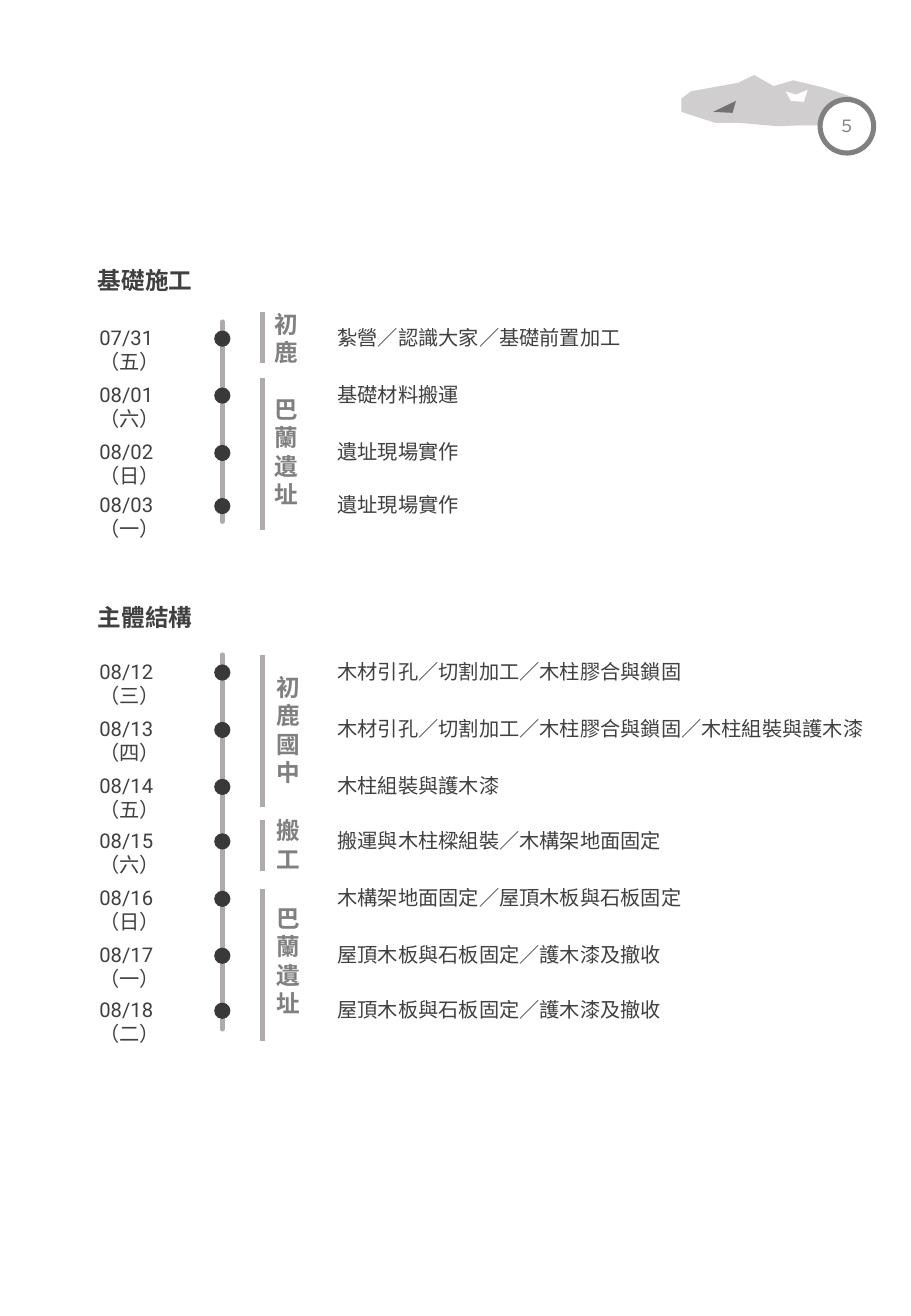
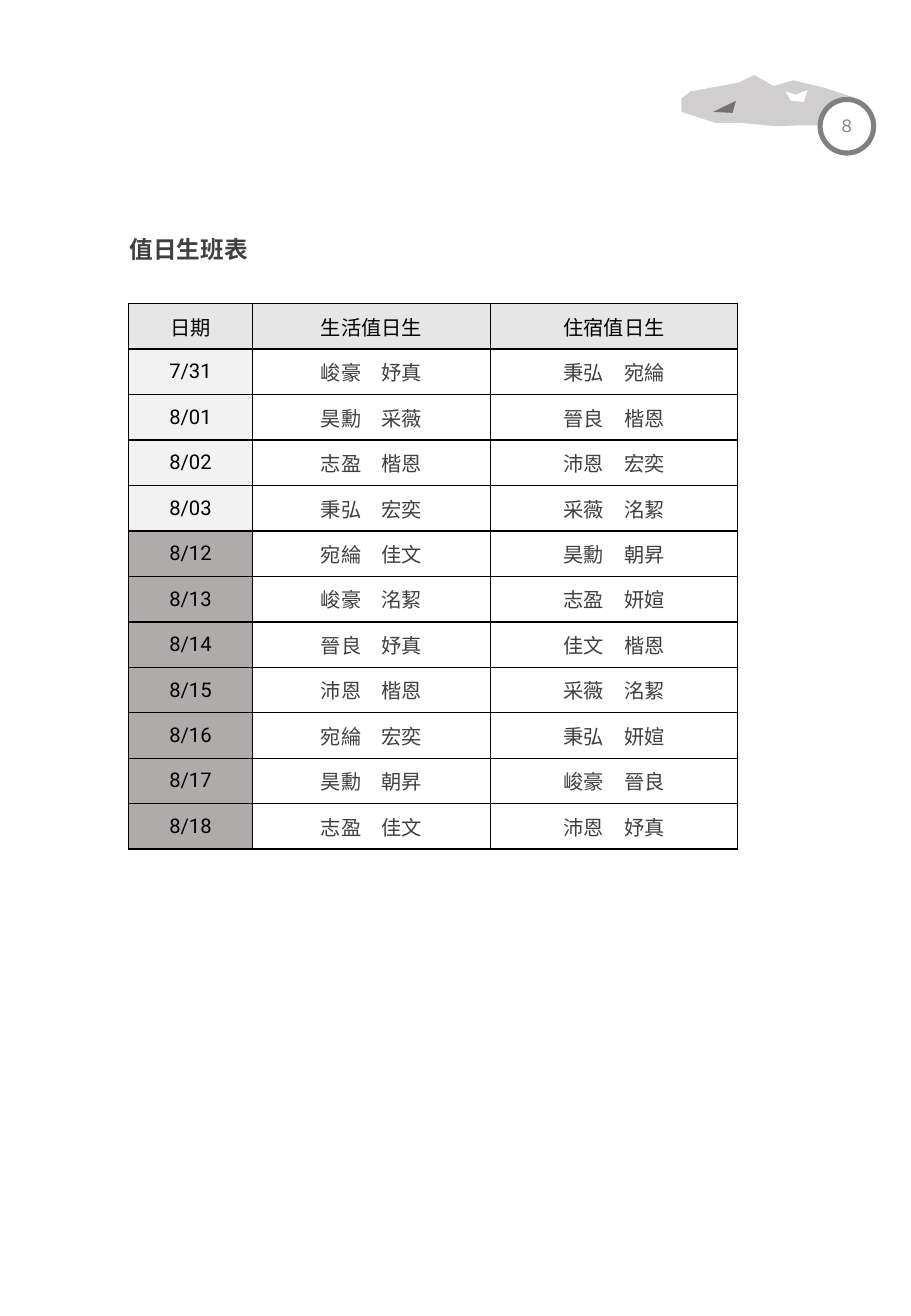
"""Builds the work schedule page and the duty roster page."""
from lxml.etree import SubElement
from pptx import Presentation
from pptx.dml.color import RGBColor
from pptx.enum.shapes import MSO_CONNECTOR as CONN, MSO_SHAPE as SHAPE
from pptx.enum.text import MSO_ANCHOR as ANCHOR, MSO_AUTO_SIZE as FIT, PP_ALIGN as ALIGN
from pptx.oxml import parse_xml
from pptx.oxml.ns import nsdecls, qn
from pptx.util import Cm, Pt

COLORS = {
    "text": "404040", "black": "000000", "white": "FFFFFF", "dot": "3B3838",
    "line": "AFABAB", "label": "808080", "ridge": "D0CECE", "shade": "767171",
    "head": "E7E6E6", "light": "F2F2F2",
}
FONT = "Roboto"
BODY, TITLE, SMALL = 12, 14, 10
INSET = 0.25

EMBLEM = [
    ("ridge", [(14.45, 1.91), (15.44, 1.73), (15.77, 1.57), (16.18, 1.8),
               (16.59, 1.68), (17.22, 1.83), (17.83, 2.03), (18.19, 2.29),
               (18.16, 2.54), (17.58, 2.62), (16.76, 2.62), (16.26, 2.64),
               (15.47, 2.57), (14.96, 2.57), (14.25, 2.34), (14.25, 2.06)]),
    ("white", [(16.64, 1.98), (16.89, 1.88), (16.81, 2.13), (16.54, 2.11),
               (16.43, 1.91)]),
    ("shade", [(14.91, 2.34), (15.39, 2.11), (15.32, 2.36)]),
]

PHASES = [
    {"title": "基礎施工", "title_y": 5.44, "spine": (6.73, 10.9), "label_x": 5.49,
     "days": [
         (6.91, "07/31（五）", "紮營／認識大家／基礎前置加工"),
         (8.1, "08/01 （六）", "基礎材料搬運"),
         (9.3, "08/02 （日）", "遺址現場實作"),
         (10.41, "08/03 （一）", "遺址現場實作")],
     "places": [("初鹿", 6.35, 6.53, 7.59), ("巴\n蘭\n遺址", 8.13, 7.9, 11.07)]},
    {"title": "主體結構", "title_y": 12.47, "spine": (13.69, 21.51), "label_x": 5.54,
     "days": [
         (13.89, "08/12 （三）", "木材引孔／切割加工／木柱膠合與鎖固"),
         (15.09, "08/13 （四）", "木材引孔／切割加工／木柱膠合與鎖固／木柱組裝與護木漆"),
         (16.28, "08/14 （五）", "木柱組裝與護木漆"),
         (17.42, "08/15 （六）", "搬運與木柱樑組裝／木構架地面固定"),
         (18.62, "08/16 （日）", "木構架地面固定／屋頂木板與石板固定"),
         (19.81, "08/17 （一）", "屋頂木板與石板固定／護木漆及撤收"),
         (20.96, "08/18 （二）", "屋頂木板與石板固定／護木漆及撤收")],
     "places": [("初\n鹿\n國\n中", 13.94, 13.69, 16.87), ("搬工", 16.94, 17.15, 18.21),
                ("巴\n蘭\n遺址", 18.77, 18.59, 21.77)]},
]

ROSTER_HEAD = ("日期", "生活值日生", "住宿值日生")
ROSTER = [
    ("7/31", "峻豪　妤真", "秉弘　宛綸"),
    ("8/01", "昊勳　采薇", "晉良　楷恩"),
    ("8/02", "志盈　楷恩", "沛恩　宏奕"),
    ("8/03", "秉弘　宏奕", "采薇　洺絜"),
    ("8/12", "宛綸　佳文", "昊勳　朝昇"),
    ("8/13", "峻豪　洺絜", "志盈　妍媗"),
    ("8/14", "晉良　妤真", "佳文　楷恩"),
    ("8/15", "沛恩　楷恩", "采薇　洺絜"),
    ("8/16", "宛綸　宏奕", "秉弘　妍媗"),
    ("8/17", "昊勳　朝昇", "峻豪　晉良"),
    ("8/18", "志盈　佳文", "沛恩　妤真"),
]
FIRST_PHASE_DAYS = 4


def rgb(name):
    return RGBColor.from_string(COLORS[name])


class Deck:
    def __init__(self):
        self.prs = Presentation()
        self.prs.slide_width, self.prs.slide_height = Cm(19.05), Cm(27.51)

    def page(self, number):
        self.s = self.prs.slides.add_slide(self.prs.slide_layouts[6])
        emblem = self.s.shapes.add_group_shape()
        for color, points in EMBLEM:
            start, *rest = [(Cm(x), Cm(y)) for x, y in points]
            builder = emblem.shapes.build_freeform(*start)
            builder.add_line_segments(rest)
            self.paint(builder.convert_to_shape(), color)
        sp = self.circle(17.15, 2.08, 1.12, "white", "label")
        tf = sp.text_frame
        tf.margin_left = tf.margin_right = tf.margin_top = tf.margin_bottom = 0
        tf.vertical_anchor = ANCHOR.MIDDLE
        self.fill_text(tf, number, SMALL, "label", align=ALIGN.CENTER)

    def paint(self, sp, fill, line=None):
        sp.shadow.inherit = False
        sp.fill.solid()
        sp.fill.fore_color.rgb = rgb(fill)
        if line:
            sp.line.color.rgb = rgb(line)
            sp.line.width = Pt(3)
        else:
            sp.line.fill.background()

    def circle(self, x, y, size, fill, line=None):
        sp = self.s.shapes.add_shape(SHAPE.OVAL, Cm(x), Cm(y), Cm(size), Cm(size))
        self.paint(sp, fill, line)
        return sp

    def fill_text(self, tf, text, size, color, bold=False, align=None):
        tf.text = text
        for p in tf.paragraphs:
            p.alignment = align
            p.font.name, p.font.size, p.font.bold = FONT, Pt(size), bold
            p.font.color.rgb = rgb(color)

    def text(self, x, y, w, h, text, size=BODY, color="text", bold=False,
             wrap=False, right=INSET):
        sp = self.s.shapes.add_textbox(Cm(x), Cm(y), Cm(w), Cm(h))
        tf = sp.text_frame
        tf.word_wrap = wrap
        tf.auto_size = FIT.SHAPE_TO_FIT_TEXT
        tf.margin_right = Cm(right)
        self.fill_text(tf, text, size, color, bold)

    def line_of_text(self, x, y, text, size=BODY, bold=False):
        width = 2 * INSET + len(text) * size * 0.036
        self.text(x, y, width, 0.06 * size + 0.04, text, size, bold=bold)

    def title(self, x, y, text):
        self.line_of_text(x, y, text, TITLE, bold=True)

    def upright(self, x, y1, y2, cap="flat"):
        c = self.s.shapes.add_connector(CONN.STRAIGHT, Cm(x), Cm(y1), Cm(x), Cm(y2))
        c.line.color.rgb = rgb("line")
        c.line.width = Pt(3)
        c.line._get_or_add_ln().set("cap", cap)
        SubElement(c._element.spPr, qn("a:effectLst"))

    def timeline(self, phase):
        self.title(1.8, phase["title_y"], phase["title"])
        self.upright(4.65, *phase["spine"], cap="rnd")
        for y, date, task in phase["days"]:
            self.circle(4.48, y, 0.34, "dot")
            self.text(1.83, y - 0.24, 3, 0.76, date, wrap=True, right=1.3)
            self.line_of_text(6.81, y - 0.24, task)
        for place, y, top, bottom in phase["places"]:
            self.upright(5.49, top, bottom)
            height = 0.25 + 0.6 * len(place.replace("\n", ""))
            self.text(phase["label_x"], y, 1.12, height, place, TITLE, "label",
                      bold=True, wrap=True)

    def cell(self, cell, text, fill, color):
        cell.fill.solid()
        cell.fill.fore_color.rgb = rgb(fill)
        cell.vertical_anchor = ANCHOR.MIDDLE
        self.fill_text(cell.text_frame, text, BODY, color, align=ALIGN.CENTER)
        tc_pr = cell._tc.get_or_add_tcPr()
        for i, side in enumerate(("lnL", "lnR", "lnT", "lnB")):
            tc_pr.insert(i, parse_xml(
                f'<a:{side} {nsdecls("a")} w="12700"><a:solidFill>'
                f'<a:srgbClr val="{COLORS["black"]}"/></a:solidFill></a:{side}>'))

    def roster(self, x, y, widths, row_height):
        rows = [ROSTER_HEAD, *ROSTER]
        table = self.s.shapes.add_table(
            len(rows), len(widths), Cm(x), Cm(y), Cm(sum(widths)),
            Cm(row_height * len(rows))).table
        for column, width in zip(table.columns, widths):
            column.width = Cm(width)
        for r, row in enumerate(rows):
            table.rows[r].height = Cm(row_height)
            for c, text in enumerate(row):
                if r == 0:
                    fill = "head"
                elif c == 0:
                    fill = "light" if r <= FIRST_PHASE_DAYS else "line"
                else:
                    fill = "white"
                color = "text" if r and c else "black"
                self.cell(table.cell(r, c), text, fill, color)


def main():
    deck = Deck()
    deck.page("５")
    for phase in PHASES:
        deck.timeline(phase)
    deck.page("８")
    deck.title(2.46, 4.78, "值日生班表")
    deck.roster(2.69, 6.35, (2.59, 4.98, 5.16), 0.95)
    deck.prs.save("out.pptx")


if __name__ == "__main__":
    main()
